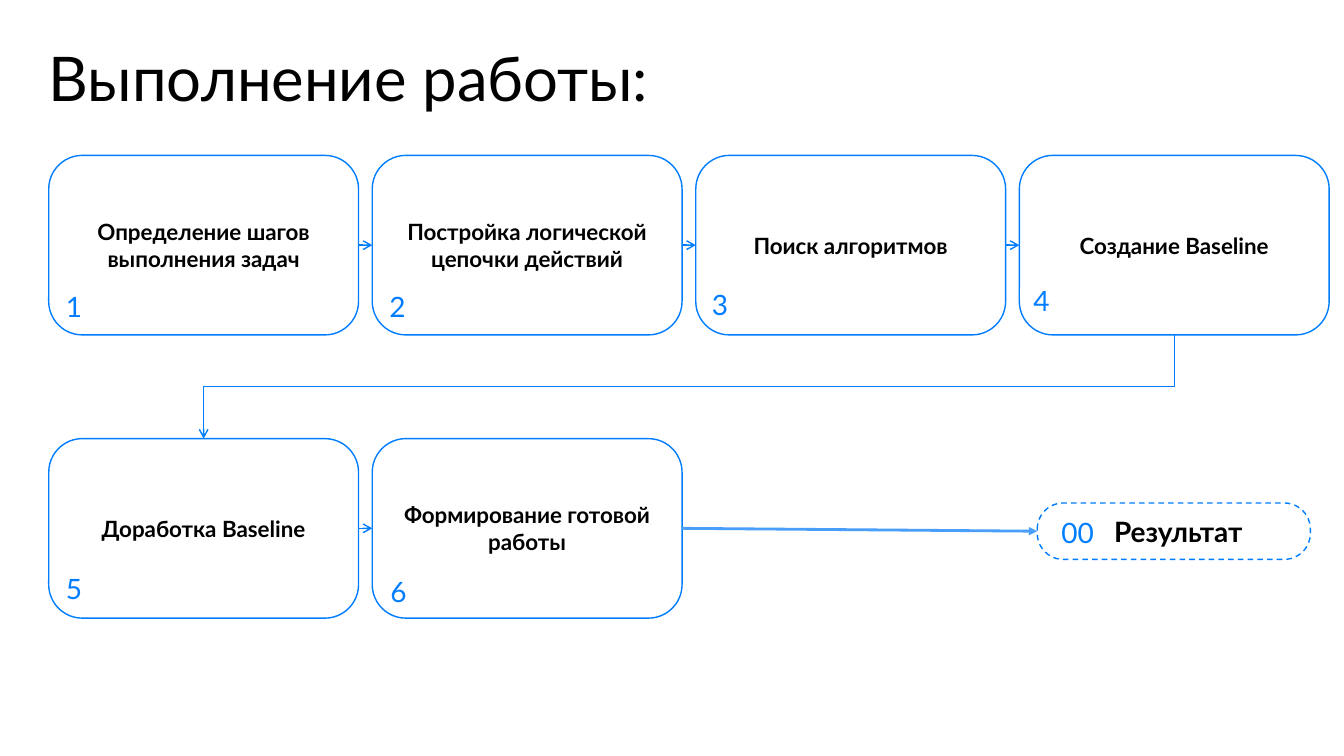
from pptx import Presentation
from pptx.dml.color import RGBColor
from pptx.enum.dml import MSO_LINE_DASH_STYLE as DASH
from pptx.enum.shapes import MSO_CONNECTOR as CONN, MSO_SHAPE as SHAPE
from pptx.enum.text import MSO_ANCHOR as ANCHOR, PP_ALIGN as ALIGN
from pptx.oxml.ns import qn
from pptx.util import Pt
from lxml.etree import SubElement

# Content: step text, offset of its number inside the card
TITLE = "Выполнение работы:"
STEPS = [
    ("Определение шагов выполнения задач", 12.2, 95.8),
    ("Постройка логической цепочки действий", 12.2, 95.8),
    ("Поиск алгоритмов", 11.5, 94.3),
    ("Создание Baseline", 10.1, 91.4),
    ("Доработка Baseline", 12.2, 95),
    ("Формирование готовой работы", 13, 97.2),
]
RESULT_NUMBER, RESULT = "00", "Результат"

# Style and layout, in points
FONT = "Lato"
BLACK = RGBColor(0x00, 0x00, 0x00)
WHITE = RGBColor(0xFF, 0xFF, 0xFF)
BLUE = RGBColor(0x00, 0x7D, 0xFF)
LIGHT_BLUE = RGBColor(0x49, 0x9E, 0xFA)
LEFT, TOP = 34.8, 111
CARD_W, CARD_H = 221.3, 128.2
COL_STEP, ROW_STEP = 231.1, 202.3
COLUMNS = 4

prs = Presentation()
prs.slide_width, prs.slide_height = Pt(960), Pt(540)
s = prs.slides.add_slide(prs.slide_layouts[6])


def write(sp, text, size=20, color=BLACK, bold=False, align=ALIGN.LEFT,
          anchor=ANCHOR.TOP, spacing=1.0):
    tf = sp.text_frame
    tf.word_wrap = True
    tf.margin_left = tf.margin_right = tf.margin_top = tf.margin_bottom = 0
    tf.vertical_anchor = anchor
    p = tf.paragraphs[0]
    p.alignment, p.line_spacing = align, spacing
    r = p.add_run()
    r.text = text
    r.font.name, r.font.size, r.font.bold = FONT, Pt(size), bold
    r.font.color.rgb = color


def label(x, y, w, h, text, **fmt):
    write(s.shapes.add_textbox(Pt(x), Pt(y), Pt(w), Pt(h)), text, **fmt)


def rounded(x, y, w, h, corner):
    sp = s.shapes.add_shape(SHAPE.ROUNDED_RECTANGLE, Pt(x), Pt(y), Pt(w), Pt(h))
    sp.adjustments[0] = corner
    sp.shadow.inherit = False
    sp.fill.solid()
    sp.fill.fore_color.rgb = WHITE
    sp.line.color.rgb, sp.line.width = BLUE, Pt(1)
    return sp


def arrow(kind, x1, y1, x2, y2, color=BLUE, width=1, head="arrow"):
    c = s.shapes.add_connector(kind, Pt(x1), Pt(y1), Pt(x2), Pt(y2))
    c.line.color.rgb, c.line.width = color, Pt(width)
    SubElement(c.line._get_or_add_ln(), qn("a:tailEnd"), type=head)
    SubElement(c._element.spPr, qn("a:effectLst"))
    return c


def join(start, end, **fmt):
    c = arrow(CONN.STRAIGHT, 0, 0, 0, 0, **fmt)
    c.begin_connect(start, 3)
    c.end_connect(end, 1)


# Title
label(LEFT, 34.8, 890, 51, TITLE, size=44, spacing=0.9)

# Result pill
result = rounded(740.9, 359.3, 195.1, 40.3, 0.463)
result.line.dash_style = DASH.DASH
label(758.2, 368, 33.8, 24.5, RESULT_NUMBER, color=BLUE)
label(774.7, 370, 133.9, 21.6, RESULT, bold=True, align=ALIGN.CENTER,
      anchor=ANCHOR.BOTTOM, spacing=0.9)

# Step cards with their numbers
cards = []
for i, (text, dx, dy) in enumerate(STEPS):
    row, col = divmod(i, COLUMNS)
    x, y = LEFT + col * COL_STEP, TOP + row * ROW_STEP
    card = rounded(x, y, CARD_W, CARD_H, 0.187)
    write(card, text, size=16, bold=True, align=ALIGN.CENTER, anchor=ANCHOR.MIDDLE)
    label(x + dx, y + dy, 33.8, 24.5, str(i + 1), color=BLUE)
    cards.append(card)

# Arrows within the rows and to the result
for i in range(1, len(cards)):
    if i % COLUMNS:
        join(cards[i - 1], cards[i])
join(cards[-1], result, color=LIGHT_BLUE, width=2, head="triangle")

# Elbow from the end of row one to the start of row two, turned a quarter
run, drop = (COLUMNS - 1) * COL_STEP, ROW_STEP - CARD_H
mid_x = LEFT + CARD_W / 2 + run / 2
mid_y = TOP + CARD_H + drop / 2
elbow = arrow(CONN.ELBOW, mid_x - drop / 2, mid_y - run / 2,
              mid_x + drop / 2, mid_y + run / 2)
elbow._element.spPr.find(qn("a:xfrm")).set("rot", str(90 * 60000))

prs.save("out.pptx")
